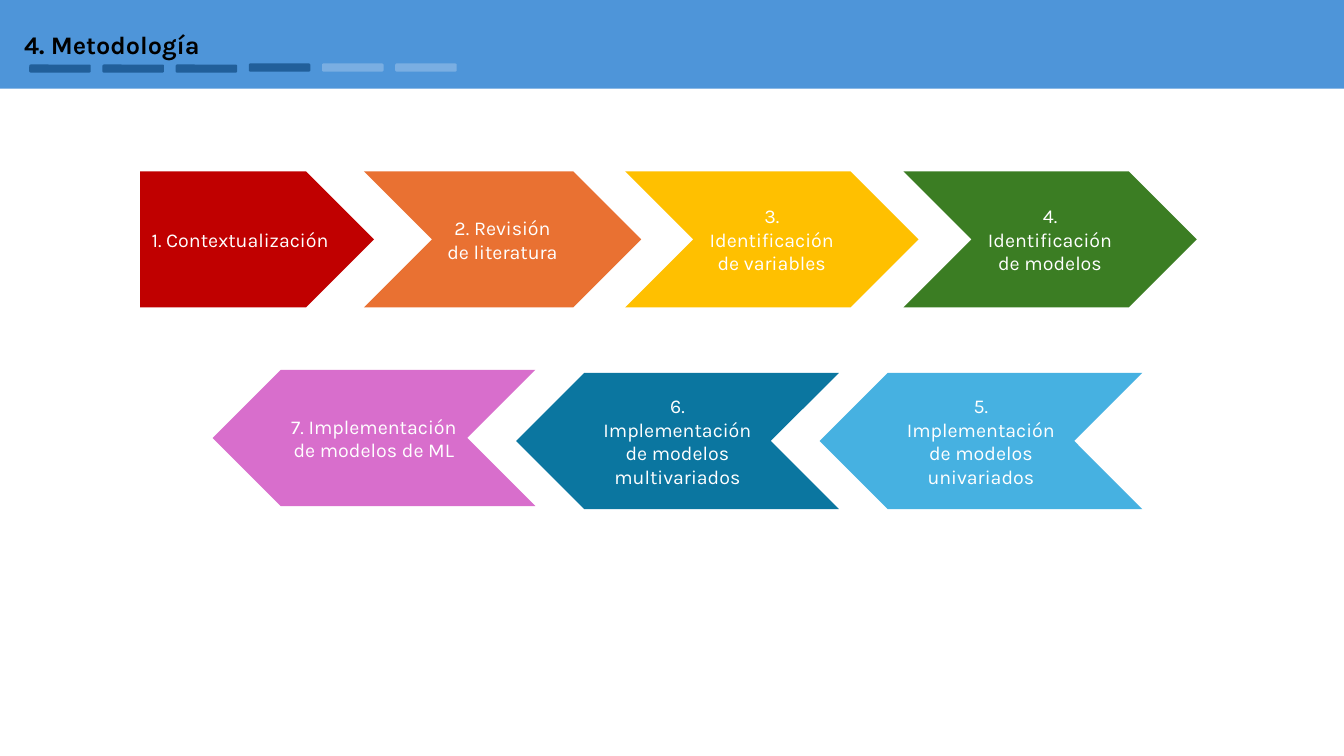
"""Build the methodology slide: a title bar with progress marks and seven step arrows."""
from pptx import Presentation
from pptx.dml.color import RGBColor
from pptx.enum import shapes, text
from pptx.util import Inches, Pt

KIND = shapes.MSO_SHAPE


def paint(item, tint):
    item.fore_color.rgb = RGBColor.from_string(tint)


def block(kind, left, top, width, height, tint):
    shape = slide.shapes.add_shape(
        kind, Inches(left), Inches(top), Inches(width), Inches(height))
    shape.shadow.inherit = False
    shape.fill.solid()
    paint(shape.fill, tint)
    shape.line.fill.background()
    return shape


deck = Presentation()
deck.slide_width, deck.slide_height = Inches(13.33), Inches(7.5)
slide = deck.slides.add_slide(deck.slide_layouts[6])

block(KIND.RECTANGLE, 0, 0, 13.33, 0.88, "4E95D9")

title = slide.shapes.add_textbox(Inches(0.14), Inches(0.24), Inches(2.15), Inches(0.4))
frame = title.text_frame
frame.word_wrap = True
frame.auto_size = text.MSO_AUTO_SIZE.SHAPE_TO_FIT_TEXT
frame.text = "4. Metodología"
font = frame.paragraphs[0].runs[0].font
font.name, font.size, font.bold = "Karla", Pt(18), True
font.color.rgb = RGBColor.from_string("000000")

steps = [
    ("1. Contextualización", 1.39, 1.7, 2.32, "C00000"),
    ("2. Revisión de literatura", 3.61, 1.7, 2.75, "E97132"),
    ("3. Identificación de variables", 6.2, 1.7, 2.91, "FFC000"),
    ("4. Identificación de modelos", 8.96, 1.7, 2.91, "3B7D23"),
    ("5. Implementación de modelos univariados", 8.13, 3.7, 3.2, "46B1E1"),
    ("6. Implementación de modelos multivariados", 5.12, 3.7, 3.2, "0B76A0"),
    ("7. Implementación de modelos de ML", 2.11, 3.67, 3.2, "D86ECC"),
]
for num, (label, left, top, width, tint) in enumerate(steps, 1):
    kind = KIND.PENTAGON if num == 1 else KIND.CHEVRON
    arrow = block(kind, left, top, width, 1.35, tint)
    if num > 4:
        arrow._element.spPr.get_or_add_xfrm().set("flipH", "1")
    frame = arrow.text_frame
    frame.word_wrap = True
    frame.vertical_anchor = text.MSO_ANCHOR.MIDDLE
    frame.text = label
    para = frame.paragraphs[0]
    para.alignment = text.PP_ALIGN.CENTER
    font = para.runs[0].font
    font.name, font.size = "Karla", Pt(14)
    font.color.rgb = RGBColor.from_string("FFFFFF")

for mark in range(6):
    top = 0.64 if mark < 3 else 0.63
    tint = "215F9A" if mark < 4 else "7AAEE2"
    block(KIND.ROUNDED_RECTANGLE, 0.29 + 0.726 * mark, top, 0.61, 0.08, tint)

deck.save("out.pptx")
